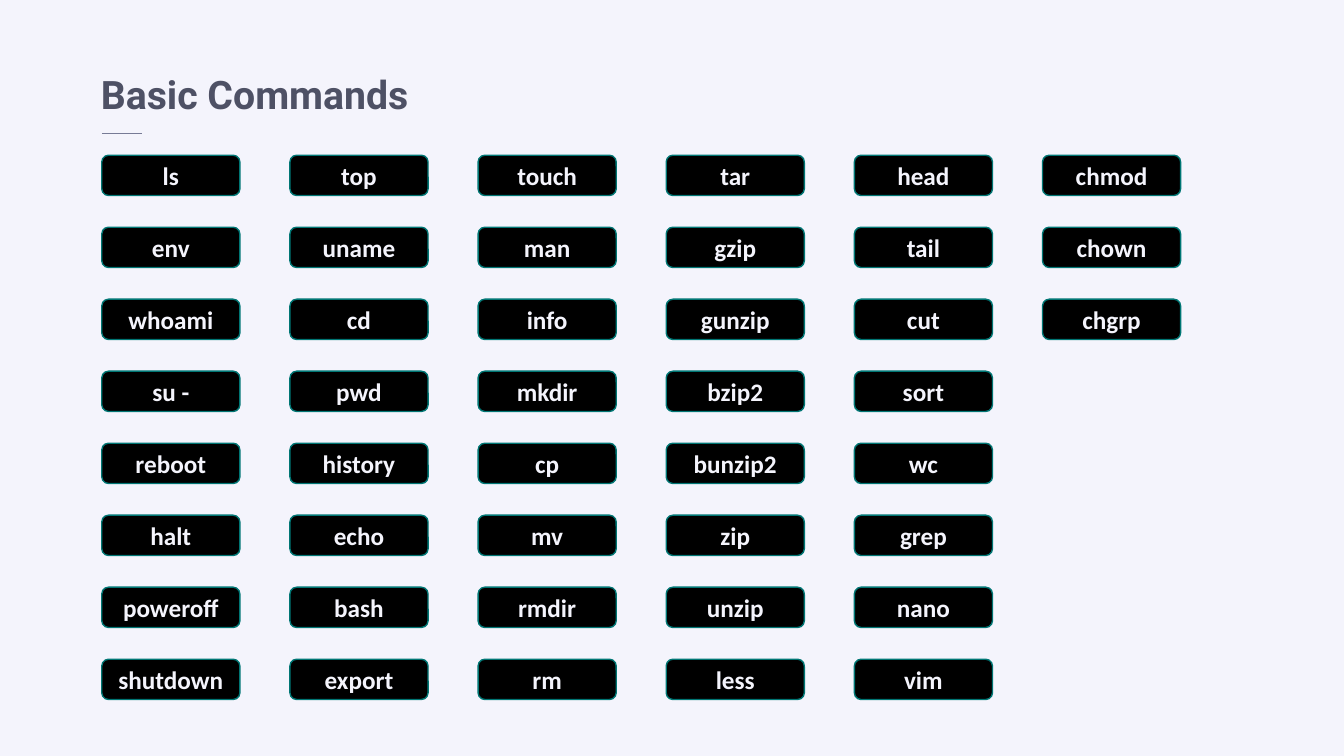
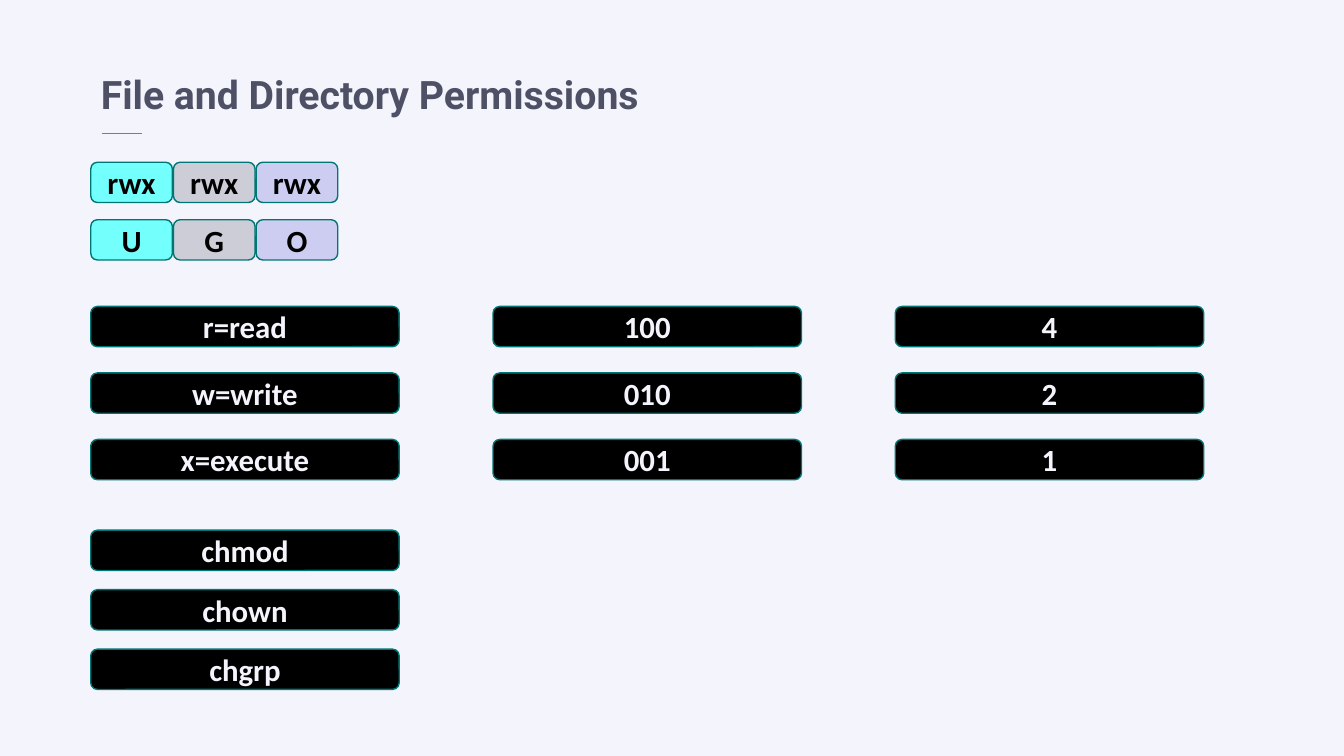
from dataclasses import dataclass

import pptx
import pptx.dml.color
import pptx.enum.shapes
import pptx.enum.text
import pptx.oxml.ns
import pptx.presentation
import pptx.slide
import pptx.util
from lxml import etree

Inches = pptx.util.Inches
Pt = pptx.util.Pt

COLORS = {
    "background": "F4F4FC",
    "title": "4E5165",
    "rule": "777B96",
    "border": "007674",
    "black": "000000",
    "light": "F4F4FC",
    "user": "73FFFC",
    "group": "CCCDD7",
    "others": "CDCDF1",
}
TITLE_FONT, LABEL_FONT = "Roboto", "Calibri"
MARGIN, INDENT = 0.9, 1.01
BUTTON_HEIGHT = 0.4
WIDE_BUTTON = 3.06


@dataclass(frozen=True)
class Grid:
    """Equal cells; the pitches run from one cell's start to the next, in inches."""
    left: float
    top: float
    column_pitch: float
    row_pitch: float
    cell_width: float
    font_size: int


@dataclass(frozen=True)
class Style:
    fill: str = "black"
    text: str = "light"


# Content, column by column
COMMANDS = [
    ["ls", "env", "whoami", "su -", "reboot", "halt", "poweroff", "shutdown"],
    ["top", "uname", "cd", "pwd", "history", "echo", "bash", "export"],
    ["touch", "man", "info", "mkdir", "cp", "mv", "rmdir", "rm"],
    ["tar", "gzip", "gunzip", "bzip2", "bunzip2", "zip", "unzip", "less"],
    ["head", "tail", "cut", "sort", "wc", "grep", "nano", "vim"],
    ["chmod", "chown", "chgrp"],
]
CLASSES = [["rwx", "U"], ["rwx", "G"], ["rwx", "O"]]
PERMISSIONS = [["r=read", "w=write", "x=execute"], ["100", "010", "001"], ["4", "2", "1"]]
CHANGERS = [["chmod", "chown", "chgrp"]]

# Layout of each block of buttons
COMMAND_GRID = Grid(INDENT, 1.54, (10.34 - INDENT) / 5, 5 / 7, 1.37, 18)
CLASS_GRID = Grid(MARGIN, 1.61, 0.82, 0.57, 0.81, 22)
PERMISSION_GRID = Grid(MARGIN, 3.04, 3.99, 0.66, WIDE_BUTTON, 22)
CHANGER_GRID = Grid(MARGIN, 5.26, 0, 0.59, WIDE_BUTTON, 22)

DARK = Style()
CLASS_STYLES = [Style(fill, "black") for fill in ("user", "group", "others")]


def rgb(name: str) -> pptx.dml.color.RGBColor:
    return pptx.dml.color.RGBColor.from_string(COLORS[name])


def format_text(paragraph, font_name: str, size: int, color: str, align) -> None:
    paragraph.alignment = align
    font = paragraph.font
    font.name, font.size, font.bold = font_name, Pt(size), True
    font.color.rgb = rgb(color)


def add_titled_slide(prs: pptx.presentation.Presentation, text: str,
                     width: float) -> pptx.slide.Slide:
    slide = prs.slides.add_slide(prs.slide_layouts.get_by_name("Title Only"))
    title = slide.shapes.title
    title.left, title.top = Inches(MARGIN), Inches(0.65)
    title.width, title.height = Inches(width), Inches(0.57)
    frame = title.text_frame
    frame.text = text
    frame.word_wrap = True
    frame.auto_size = pptx.enum.text.MSO_AUTO_SIZE.NONE
    frame.vertical_anchor = pptx.enum.text.MSO_ANCHOR.TOP
    format_text(frame.paragraphs[0], TITLE_FONT, 28, "title", pptx.enum.text.PP_ALIGN.LEFT)

    # Short rule under the title
    rule = slide.shapes.add_connector(
        pptx.enum.shapes.MSO_CONNECTOR.STRAIGHT,
        Inches(INDENT), Inches(1.32), Inches(INDENT + 0.4), Inches(1.32))
    rule.line.color.rgb = rgb("rule")
    rule.line.width = Pt(0.25)
    etree.SubElement(rule._element.spPr, pptx.oxml.ns.qn("a:effectLst"))
    return slide


def add_button(slide: pptx.slide.Slide, grid: Grid, column: int, row: int,
               text: str, style: Style) -> None:
    button = slide.shapes.add_shape(
        pptx.enum.shapes.MSO_SHAPE.ROUNDED_RECTANGLE,
        Inches(grid.left + column * grid.column_pitch),
        Inches(grid.top + row * grid.row_pitch),
        Inches(grid.cell_width), Inches(BUTTON_HEIGHT))
    button.shadow.inherit = False
    button.fill.solid()
    button.fill.fore_color.rgb = rgb(style.fill)
    button.line.color.rgb = rgb("border")
    button.line.width = Pt(1)
    frame = button.text_frame
    frame.text = text
    frame.word_wrap = True
    frame.vertical_anchor = pptx.enum.text.MSO_ANCHOR.MIDDLE
    format_text(frame.paragraphs[0], LABEL_FONT, grid.font_size, style.text,
                pptx.enum.text.PP_ALIGN.CENTER)


def add_buttons(slide: pptx.slide.Slide, grid: Grid, columns: list[list[str]],
                styles: list[Style]) -> None:
    """Fill the grid; the styles repeat from column to column."""
    for column, labels in enumerate(columns):
        for row, label in enumerate(labels):
            add_button(slide, grid, column, row, label, styles[column % len(styles)])


def main() -> None:
    prs = pptx.Presentation()
    prs.slide_width, prs.slide_height = Inches(13.33), Inches(7.5)
    background = prs.slide_master.background.fill
    background.solid()
    background.fore_color.rgb = rgb("background")

    # Slide 1: command overview
    commands = add_titled_slide(prs, "Basic Commands", 3.5)
    add_buttons(commands, COMMAND_GRID, COMMANDS, [DARK])

    # Slide 2: permission classes, bits and the commands that change them
    permissions = add_titled_slide(prs, "File and Directory Permissions", 5.97)
    add_buttons(permissions, CLASS_GRID, CLASSES, CLASS_STYLES)
    add_buttons(permissions, PERMISSION_GRID, PERMISSIONS, [DARK])
    add_buttons(permissions, CHANGER_GRID, CHANGERS, [DARK])

    prs.save("out.pptx")


if __name__ == "__main__":
    main()
